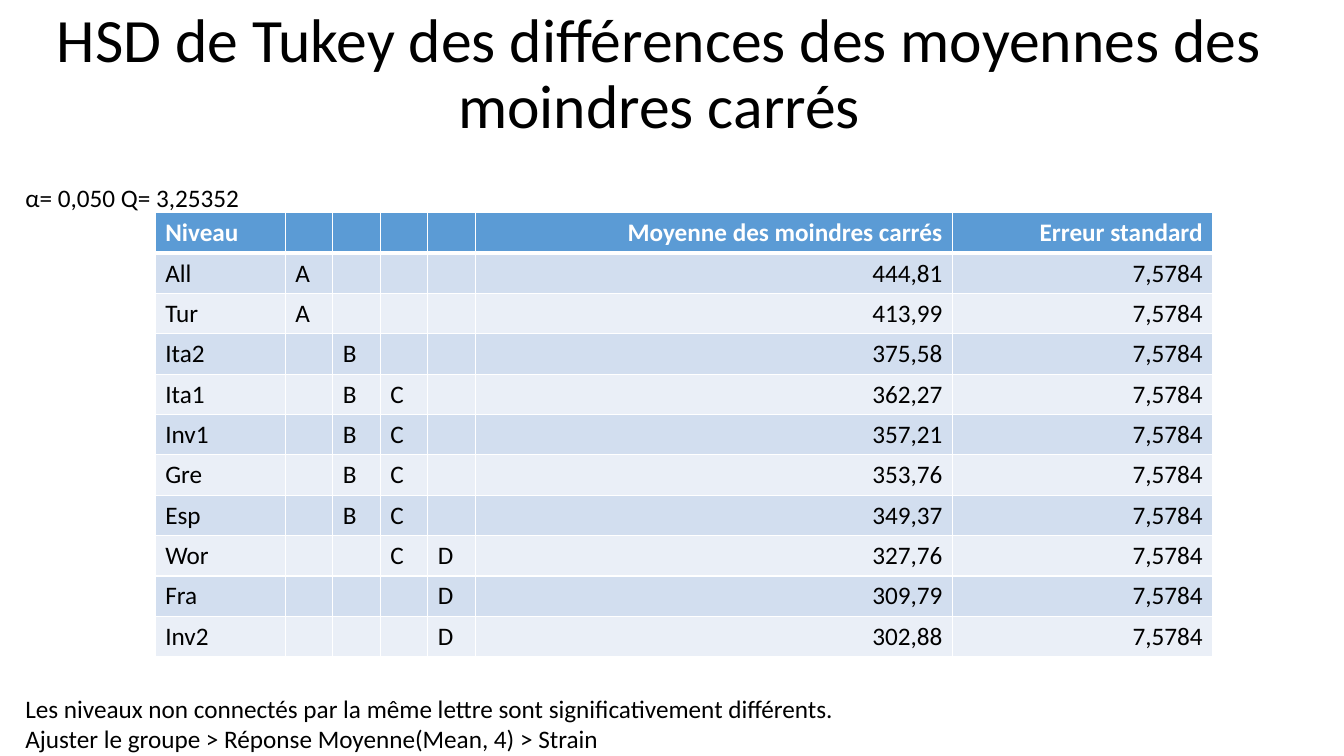
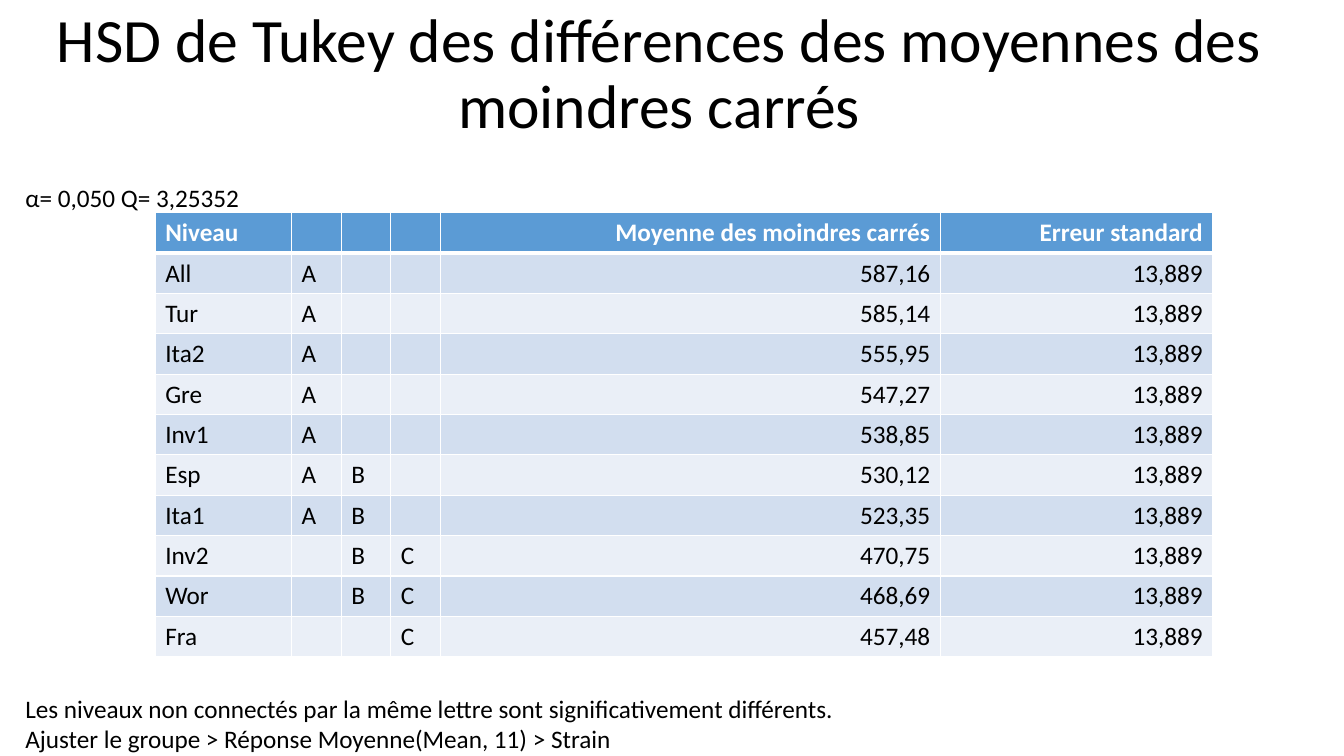
from dataclasses import dataclass
from typing import Any

import lxml.etree
import pptx
import pptx.dml.color
import pptx.enum.text
import pptx.oxml.ns
import pptx.util

ALIGN = pptx.enum.text.PP_ALIGN


@dataclass(frozen=True)
class Theme:
    font: str = "Calibri"
    title_size: int = 44
    body_size: int = 18
    text: str = "000000"
    white: str = "FFFFFF"
    header: str = "5B9BD5"
    bands: tuple[str, str] = ("D2DEEF", "EAEFF7")
    thin_rule: int = 1
    thick_rule: int = 3


@dataclass(frozen=True)
class Frame:
    """A rectangle in percent of the slide's width and height."""
    left: float
    top: float
    width: float
    height: float

    def lengths(self) -> list[pptx.util.Emu]:
        shares = (self.left, self.top, self.width, self.height)
        sides = (SLIDE_WIDTH, SLIDE_HEIGHT) * 2
        return [pptx.util.Emu(round(side * share / 100)) for side, share in zip(sides, shares)]


@dataclass(frozen=True)
class Level:
    name: str
    groups: str
    mean: str


@dataclass(frozen=True)
class Comparison:
    response: str
    letters: str
    error: str
    levels: tuple[Level, ...]


THEME = Theme()
SLIDE_WIDTH = pptx.util.Inches(13.33)
SLIDE_HEIGHT = pptx.util.Inches(7.5)

TITLE_FRAME = Frame(0, 0, 98.12, 20)
QUANTILE_FRAME = Frame(1.88, 24.13, 30, 4.13)
TABLE_FRAME = Frame(11.55, 28.13, 78.7, 58.67)
NOTE_FRAME = Frame(1.88, 91.73, 70, 8.27)

# Relative column widths, scaled to fill the table
NAME_WEIGHT, LETTER_WEIGHT, MEAN_WEIGHT, ERROR_WEIGHT = 1.29, 0.47, 4.73, 2.58

TITLE = "HSD de Tukey des différences des moyennes des moindres carrés"
QUANTILE = "α= 0,050 Q= 3,25352"
NOTE = "Les niveaux non connectés par la même lettre sont significativement différents."

COMPARISONS = (
    Comparison("Mean, 4", "ABCD", "7,5784", (
        Level("All", "A", "444,81"),
        Level("Tur", "A", "413,99"),
        Level("Ita2", "B", "375,58"),
        Level("Ita1", "BC", "362,27"),
        Level("Inv1", "BC", "357,21"),
        Level("Gre", "BC", "353,76"),
        Level("Esp", "BC", "349,37"),
        Level("Wor", "CD", "327,76"),
        Level("Fra", "D", "309,79"),
        Level("Inv2", "D", "302,88"),
    )),
    Comparison("Mean, 11", "ABC", "13,889", (
        Level("All", "A", "587,16"),
        Level("Tur", "A", "585,14"),
        Level("Ita2", "A", "555,95"),
        Level("Gre", "A", "547,27"),
        Level("Inv1", "A", "538,85"),
        Level("Esp", "AB", "530,12"),
        Level("Ita1", "AB", "523,35"),
        Level("Inv2", "BC", "470,75"),
        Level("Wor", "BC", "468,69"),
        Level("Fra", "C", "457,48"),
    )),
)


def color(value: str) -> pptx.dml.color.RGBColor:
    return pptx.dml.color.RGBColor.from_string(value)


def format_para(para: Any, size: int, ink: str, align: Any, bold: bool = False) -> None:
    para.alignment = align
    for span in para.runs:
        span.font.name = THEME.font
        span.font.size = pptx.util.Pt(size)
        span.font.bold = bold
        span.font.color.rgb = color(ink)


def set_title(page: Any) -> None:
    title = page.shapes.title
    title.left, title.top, title.width, title.height = TITLE_FRAME.lengths()
    frame = title.text_frame
    frame.text = TITLE
    frame.auto_size = pptx.enum.text.MSO_AUTO_SIZE.NONE
    frame.vertical_anchor = pptx.enum.text.MSO_ANCHOR.MIDDLE
    para = frame.paragraphs[0]
    format_para(para, THEME.title_size, THEME.text, ALIGN.CENTER)
    para.line_spacing = 0.9


def add_text(page: Any, place: Frame, text: str) -> None:
    box = page.shapes.add_textbox(*place.lengths())
    frame = box.text_frame
    frame.word_wrap = True
    frame.margin_left = frame.margin_right = frame.margin_top = frame.margin_bottom = 0
    frame.text = text
    for para in frame.paragraphs:
        format_para(para, THEME.body_size, THEME.text, ALIGN.LEFT)


def set_borders(cell: Any, top: int, bottom: int) -> None:
    properties = cell._tc.get_or_add_tcPr()
    qn = pptx.oxml.ns.qn
    widths = {"L": THEME.thin_rule, "R": THEME.thin_rule, "T": top, "B": bottom}
    for side, width in widths.items():
        line = lxml.etree.SubElement(properties, qn(f"a:ln{side}"), w=str(pptx.util.Pt(width)))
        fill = lxml.etree.SubElement(line, qn("a:solidFill"))
        lxml.etree.SubElement(fill, qn("a:srgbClr"), val=THEME.white)


def add_table(page: Any, comparison: Comparison) -> None:
    letters = comparison.letters
    rows = [["Niveau", *[""] * len(letters), "Moyenne des moindres carrés", "Erreur standard"]]
    for level in comparison.levels:
        marks = [letter if letter in level.groups else "" for letter in letters]
        rows.append([level.name, *marks, level.mean, comparison.error])

    weights = [NAME_WEIGHT, *[LETTER_WEIGHT] * len(letters), MEAN_WEIGHT, ERROR_WEIGHT]
    lengths = TABLE_FRAME.lengths()
    table = page.shapes.add_table(len(rows), len(weights), *lengths).table
    table.horz_banding = False
    for column, weight in zip(table.columns, weights):
        column.width = round(lengths[2] * weight / sum(weights))

    for row_index, row in enumerate(rows):
        is_header = row_index == 0
        background = THEME.header if is_header else THEME.bands[(row_index - 1) % 2]
        ink = THEME.white if is_header else THEME.text
        # The thick rule lies between the header and the first level
        top = THEME.thick_rule if row_index == 1 else THEME.thin_rule
        bottom = THEME.thick_rule if is_header else THEME.thin_rule
        for column_index, text in enumerate(row):
            cell = table.cell(row_index, column_index)
            set_borders(cell, top, bottom)
            cell.fill.solid()
            cell.fill.fore_color.rgb = color(background)
            if text:
                cell.text_frame.text = text
                align = ALIGN.RIGHT if column_index > len(letters) else ALIGN.LEFT
                format_para(cell.text_frame.paragraphs[0], THEME.body_size, ink, align, is_header)


def add_comparison(deck: Any, comparison: Comparison) -> None:
    page = deck.slides.add_slide(deck.slide_layouts.get_by_name("Title Only"))
    set_title(page)
    add_text(page, QUANTILE_FRAME, QUANTILE)
    add_table(page, comparison)
    origin = f"Ajuster le groupe > Réponse Moyenne({comparison.response}) > Strain"
    add_text(page, NOTE_FRAME, f"{NOTE}\n{origin}")


def main() -> None:
    deck = pptx.Presentation()
    deck.slide_width, deck.slide_height = SLIDE_WIDTH, SLIDE_HEIGHT
    for comparison in COMPARISONS:
        add_comparison(deck, comparison)
    deck.save("out.pptx")


if __name__ == "__main__":
    main()
